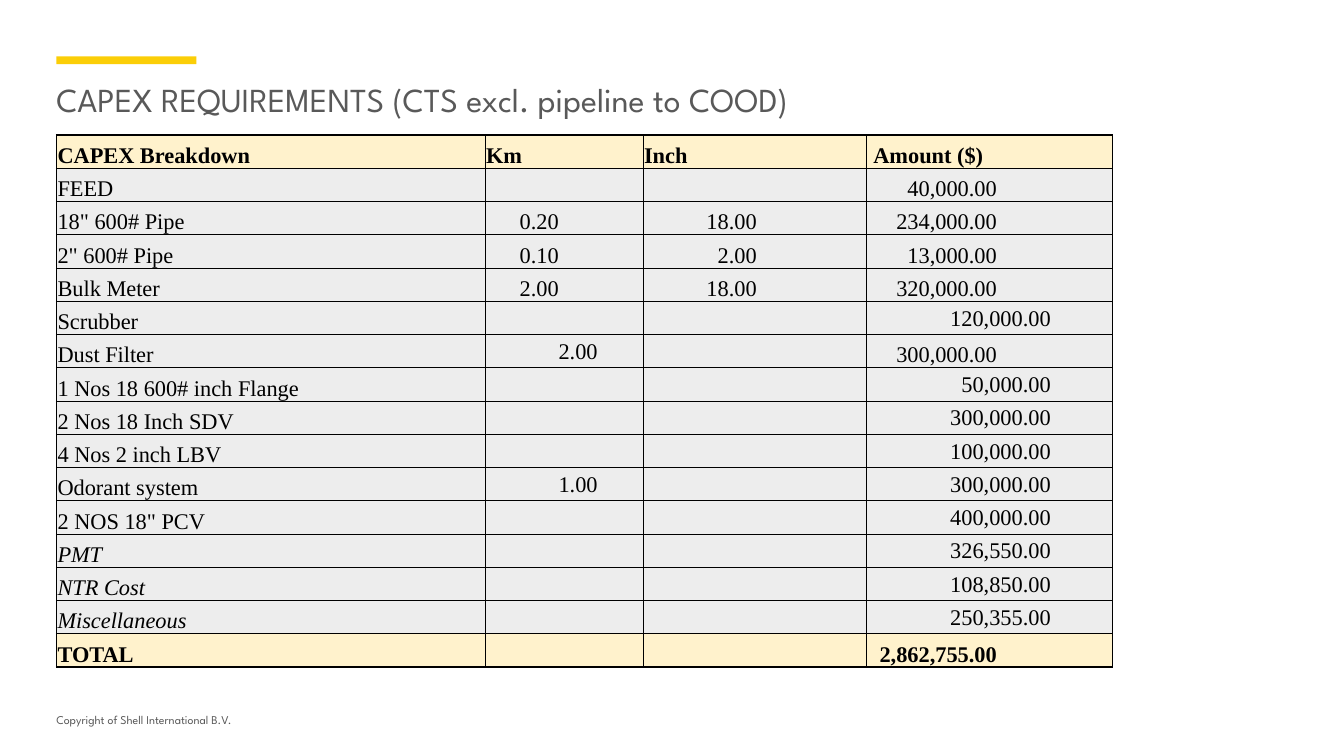
from dataclasses import dataclass

from lxml import etree
from pptx import Presentation
from pptx.dml.color import RGBColor
from pptx.enum.shapes import MSO_SHAPE
from pptx.enum.text import MSO_ANCHOR, PP_ALIGN
from pptx.oxml.ns import qn
from pptx.util import Cm, Pt

RECT = MSO_SHAPE.RECTANGLE
TOP, MIDDLE, BOTTOM = MSO_ANCHOR.TOP, MSO_ANCHOR.MIDDLE, MSO_ANCHOR.BOTTOM
LEFT, RIGHT = PP_ALIGN.LEFT, PP_ALIGN.RIGHT

COLORS = {
    "accent": "FBCE07",
    "grey": "595959",
    "black": "000000",
    "cream": "FFF2CC",
    "pale": "EDEDED",
}
SANS, SERIF = "League Spartan", "Times New Roman"
EDGE = 1.42
KM, INCH, COST = 1, 2, 3
WIDTHS = (10.8, 3.98, 5.64, 6.2)
HEIGHT = 13.42
LOW_GAPS = {KM: 2.12, INCH: 2.77, COST: 2.92}
MID_GAPS = {KM: 1.14, COST: 1.56}


@dataclass(frozen=True)
class Item:
    """One table row; mid lists the columns whose value is centred in height."""
    label: str
    cost: str
    km: str = ""
    inch: str = ""
    mid: tuple[int, ...] = ()
    bold: bool = False
    slant: bool = False


@dataclass(frozen=True)
class Label:
    text: str
    top: float
    width: float
    height: float
    size: float


ITEMS = (
    Item("CAPEX Breakdown", "Amount ($)", "Km", "Inch", bold=True),
    Item("FEED", "40,000.00"),
    Item('18" 600# Pipe', "234,000.00", "0.20", "18.00"),
    Item('2" 600# Pipe', "13,000.00", "0.10", "2.00"),
    Item("Bulk Meter", "320,000.00", "2.00", "18.00"),
    Item("Scrubber", "120,000.00", mid=(COST,)),
    Item("Dust Filter", "300,000.00", "2.00", mid=(KM,)),
    Item("1 Nos 18 600# inch Flange", "50,000.00", mid=(COST,)),
    Item("2 Nos 18 Inch SDV", "300,000.00", mid=(COST,)),
    Item("4 Nos 2 inch LBV", "100,000.00", mid=(COST,)),
    Item("Odorant system", "300,000.00", "1.00", mid=(KM, COST)),
    Item('2 NOS 18" PCV', "400,000.00", mid=(COST,)),
    Item("PMT", "326,550.00", mid=(COST,), slant=True),
    Item("NTR Cost", "108,850.00", mid=(COST,), slant=True),
    Item("Miscellaneous", "250,355.00", mid=(COST,), slant=True),
    Item("TOTAL", "2,862,755.00", bold=True),
)
LAST = len(ITEMS) - 1

LABELS = (
    Label("CAPEX REQUIREMENTS (CTS excl. pipeline to COOD)", 1.98, 31.04, 2.08, 24),
    Label("Copyright of Shell International B.V.", 17.96, 9.32, 0.66, 8.5),
)


def paint(fill, name: str) -> None:
    fill.solid()
    fill.fore_color.rgb = RGBColor.from_string(COLORS[name])


def add_run(para, text: str, face: str, size: float, color: str,
            bold: bool = False, slant: bool = False) -> None:
    run = para.add_run()
    run.text = text
    font = run.font
    font.name, font.size = face, Pt(size)
    font.bold, font.italic = bold, slant
    font.color.rgb = RGBColor.from_string(COLORS[color])


def add_label(slide, label: Label) -> None:
    box = slide.shapes.add_textbox(
        Cm(EDGE), Cm(label.top), Cm(label.width), Cm(label.height))
    frame = box.text_frame
    frame.word_wrap = True
    frame.vertical_anchor = TOP
    frame.margin_left = frame.margin_right = 0
    frame.margin_top = frame.margin_bottom = 0
    add_run(frame.paragraphs[0], label.text, SANS, label.size, "grey")


def add_edges(cell, row: int, col: int) -> None:
    """Draw thick rules around the header, the total and the left side."""
    thick = {
        "L": col == 0,
        "R": False,
        "T": row in (0, LAST) or (row == 1 and col > 0),
        "B": row >= LAST - 1 or (row == 0 and col > 0),
    }
    props = cell._tc.get_or_add_tcPr()
    for spot, (side, wide) in enumerate(thick.items()):
        line = etree.Element(qn(f"a:ln{side}"), w=str(Pt(1 if wide else 0.5)))
        fill = etree.SubElement(line, qn("a:solidFill"))
        etree.SubElement(fill, qn("a:srgbClr"), val=COLORS["black"])
        props.insert(spot, line)


def fill_cell(cell, item: Item, row: int, col: int) -> None:
    text = (item.label, item.km, item.inch, item.cost)[col]
    mid = col in item.mid
    cell.margin_left = cell.margin_right = cell.margin_top = Cm(0.03)
    cell.margin_bottom = 0
    cell.vertical_anchor = MIDDLE if mid else BOTTOM
    paint(cell.fill, "cream" if item.bold else "pale")
    add_edges(cell, row, col)
    para = cell.text_frame.paragraphs[0]
    para.font.size = Pt(16)
    if not text:
        return
    para.alignment = LEFT
    if row == 0 and col == COST:
        cell.margin_left = Cm(0.17)
    elif row > 0 and col > 0:
        para.alignment = RIGHT
        cell.margin_right = Cm((MID_GAPS if mid else LOW_GAPS)[col])
    add_run(para, text, SERIF, 16, "black", item.bold, item.slant and col == 0)


def add_costs(slide) -> None:
    frame = slide.shapes.add_table(
        len(ITEMS), len(WIDTHS), Cm(EDGE), Cm(3.4), Cm(sum(WIDTHS)), Cm(HEIGHT))
    table = frame.table
    table.first_row = table.horz_banding = False
    for col, width in enumerate(WIDTHS):
        table.columns[col].width = Cm(width)
    for row, item in enumerate(ITEMS):
        table.rows[row].height = Cm(HEIGHT / len(ITEMS))
        for col in range(len(WIDTHS)):
            fill_cell(table.cell(row, col), item, row, col)


def main() -> None:
    deck = Presentation()
    deck.slide_width, deck.slide_height = Cm(33.87), Cm(19.05)
    slide = deck.slides.add_slide(deck.slide_layouts[6])
    bar = slide.shapes.add_shape(RECT, Cm(EDGE), Cm(1.42), Cm(3.53), Cm(0.2))
    bar.shadow.inherit = False
    bar.line.fill.background()
    paint(bar.fill, "accent")
    for label in LABELS:
        add_label(slide, label)
    add_costs(slide)
    deck.save("out.pptx")


if __name__ == "__main__":
    main()
